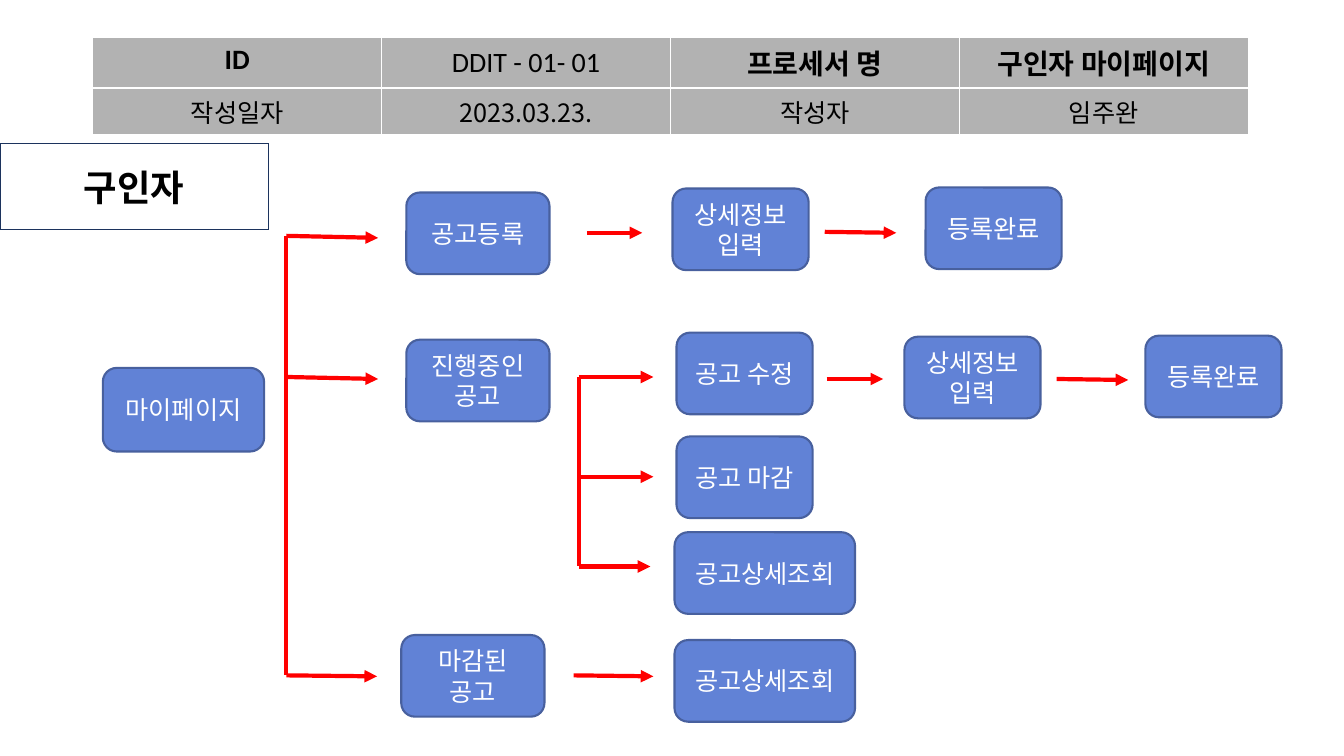
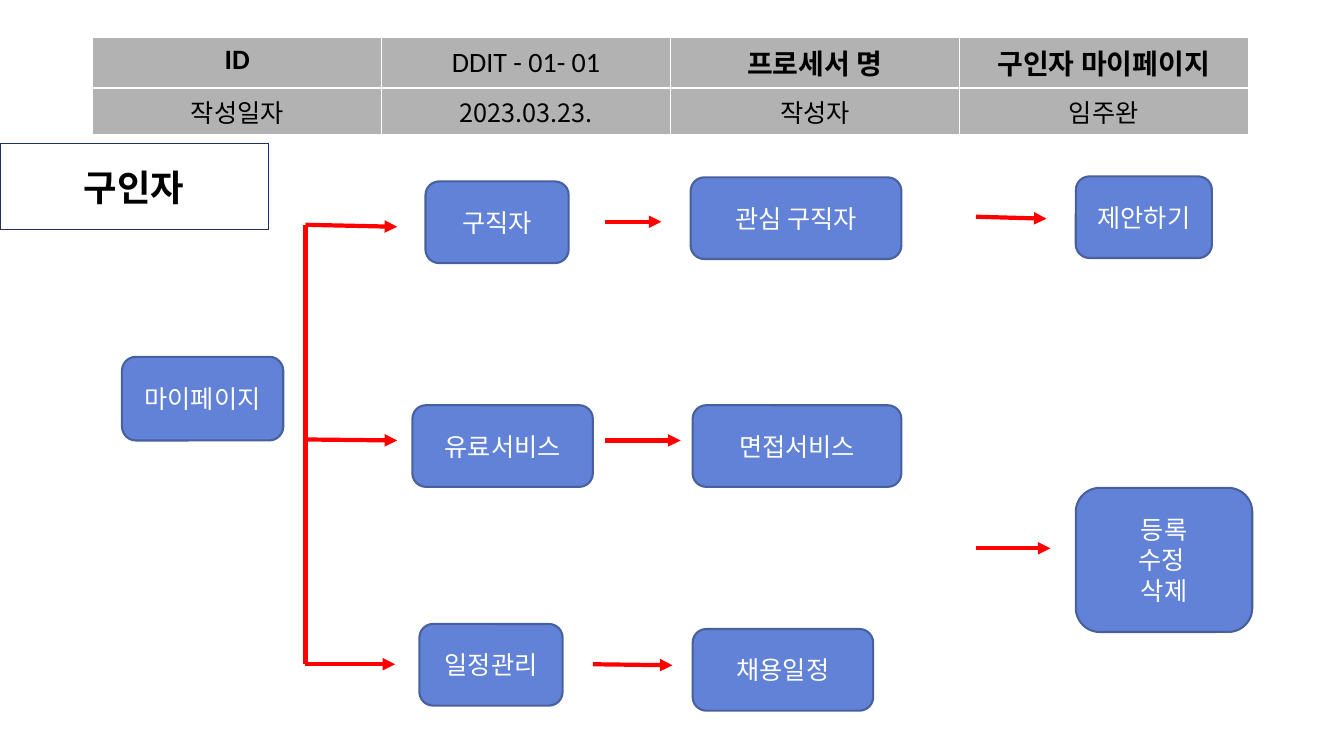
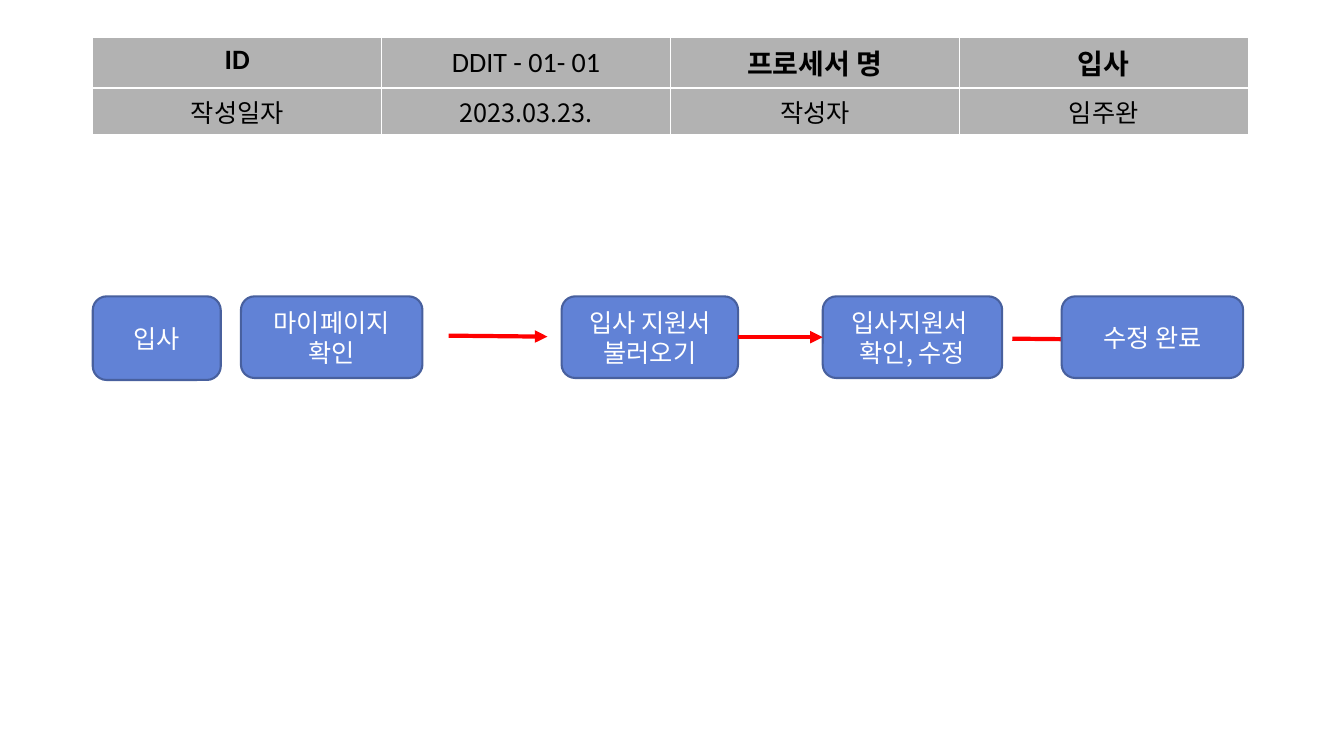
import pptx
import pptx.util
import pptx.dml.color
import pptx.enum.shapes
import pptx.enum.text
import pptx.oxml
import pptx.oxml.ns
from pptx.util import Inches

# Shared look
KOREAN, LATIN = "Noto Sans CJK KR", "Calibri"
WHITE, BLACK, RED = "FFFFFF", "000000", "FF0000"
GREY, BLUE, BLUE_EDGE, NAVY = "B2B2B2", "6182D6", "48609E", "1C335D"
STEP_TEXT = {"size": 18, "name": KOREAN, "bold": False, "color": WHITE}
LABEL_TEXT = {"size": 26, "name": KOREAN, "bold": True, "color": BLACK}
HEAD_TEXT = {"size": 20, "name": LATIN, "bold": True, "color": BLACK}
CODE_TEXT = {**HEAD_TEXT, "bold": False}
INFO_TEXT = {**STEP_TEXT, "color": BLACK}
MIDDLE = pptx.enum.text.MSO_ANCHOR.MIDDLE
STEP_HEIGHT = 0.81
TITLE_ONLY, BLANK = 5, 6


def rgb(value):
    return pptx.dml.color.RGBColor.from_string(value)


def inches(*values):
    return [Inches(value) for value in values]


def add_xml(parent, tag, **attributes):
    element = parent.makeelement(pptx.oxml.ns.qn(tag), attributes)
    parent.append(element)
    return element


# Text
def format_span(span, style):
    for key, value in style.items():
        if key == "color":
            span.font.color.rgb = rgb(value)
        else:
            setattr(span.font, key, pptx.util.Pt(value) if key == "size" else value)
    add_xml(span.font._element, "a:ea", typeface=KOREAN)


def write(frame, text, style):
    frame.word_wrap = True
    for number, line in enumerate(text.split("\n")):
        para = frame.add_paragraph() if number else frame.paragraphs[0]
        para.alignment = pptx.enum.text.PP_ALIGN.CENTER
        span = para.add_run()
        span.text = line
        format_span(span, style)


def paint(shape, fill, edge, width):
    shape.fill.solid()
    shape.fill.fore_color.rgb = rgb(fill)
    shape.line.color.rgb = rgb(edge)
    shape.line.width = pptx.util.Pt(width)


# Header table
def frame_cell(cell):
    properties = cell._tc.get_or_add_tcPr()
    for position, side in enumerate("LRTB"):
        border = pptx.oxml.parse_xml(
            f'<a:ln{side} {pptx.oxml.ns.nsdecls("a")} w="12700"><a:solidFill>'
            f'<a:srgbClr val="{WHITE}"/></a:solidFill></a:ln{side}>')
        properties.insert(position, border)


def add_header(page, process):
    rows = [["ID", "DDIT - 01- 01", "프로세서 명", process],
            ["작성일자", "2023.03.23.", "작성자", "임주완"]]
    table = page.shapes.add_table(2, 4, *inches(0.92, 0.37, 11.46, 0.84)).table
    table.first_row = table.horz_banding = False
    for row, height in zip(table.rows, (0.43, 0.41)):
        row.height = Inches(height)
    for row, texts in enumerate(rows):
        for column, text in enumerate(texts):
            cell = table.cell(row, column)
            cell.fill.solid()
            cell.fill.fore_color.rgb = rgb(GREY)
            frame_cell(cell)
            write(cell.text_frame, text, INFO_TEXT if row else HEAD_TEXT)
    code = table.cell(0, 1)
    code.vertical_anchor = MIDDLE
    for side in ("left", "top", "right", "bottom"):
        setattr(code, f"margin_{side}", 0)
    format_span(code.text_frame.paragraphs[0].runs[0], {"bold": CODE_TEXT["bold"]})


def add_page(deck, process, label=None):
    page = deck.slides.add_slide(deck.slide_layouts[TITLE_ONLY if label else BLANK])
    if label:
        title = page.shapes.title
        title.left, title.top, title.width, title.height = inches(0, 1.42, 2.66, 0.86)
        paint(title, WHITE, NAVY, 0)
        title.text_frame.vertical_anchor = MIDDLE
        write(title.text_frame, label, LABEL_TEXT)
    add_header(page, process)
    return page


# Flow elements
def add_step(page, text, left, top, width, height=STEP_HEIGHT):
    box = page.shapes.add_shape(pptx.enum.shapes.MSO_SHAPE.ROUNDED_RECTANGLE,
                                *inches(left, top, width, height))
    box.shadow.inherit = False
    paint(box, BLUE, BLUE_EDGE, 1.5)
    box.text_frame.vertical_anchor = MIDDLE
    write(box.text_frame, text, STEP_TEXT)
    return box


def add_line(page, left, top, right, bottom, arrow=True):
    line = page.shapes.add_connector(pptx.enum.shapes.MSO_CONNECTOR.STRAIGHT,
                                     *inches(left, top, right, bottom))
    line.line.color.rgb = rgb(RED)
    line.line.width = pptx.util.Pt(3)
    if arrow:
        add_xml(line.line._get_or_add_ln(), "a:tailEnd", type="triangle")
    add_xml(line._element.spPr, "a:effectLst")
    return line


def add_branches(page, trunk, tips):
    """Draw a vertical trunk and one arrow to the right per tip."""
    add_line(page, trunk, tips[0][0], trunk, tips[-1][0], arrow=False)
    for top, right, bottom in tips:
        add_line(page, trunk, top, right, bottom)


def add_flow(page, arrows, steps):
    for arrow in arrows:
        add_line(page, *arrow)
    return [add_step(page, *step) for step in steps]


# Slides
def add_postings(deck):
    page = add_page(deck, "구인자 마이페이지", "구인자")
    add_branches(page, 2.84, [(2.34, 3.75, 2.36), (3.74, 3.75, 3.76), (6.7, 3.74, 6.71)])
    add_branches(page, 5.74, [(3.74, 6.48, 3.74), (4.73, 6.48, 4.73), (5.62, 6.45, 5.62)])
    add_flow(page, [
        (5.82, 2.31, 6.37, 2.31),
        (8.18, 2.3, 8.89, 2.31),
        (8.2, 3.76, 8.76, 3.76),
        (10.48, 3.76, 11.19, 3.77),
        (5.69, 6.7, 6.48, 6.71),
    ], [
        ("마이페이지", 1.02, 3.65, 1.6, 0.83),
        ("공고등록", 4.03, 1.91, 1.42),
        ("상세정보 입력", 6.67, 1.87, 1.35),
        ("등록완료", 9.18, 1.86, 1.35),
        ("진행중인 공고", 4.03, 3.37, 1.42),
        ("공고 수정", 6.71, 3.3, 1.35),
        ("상세정보 입력", 8.97, 3.34, 1.35),
        ("등록완료", 11.36, 3.33, 1.35),
        ("공고 마감", 6.71, 4.33, 1.35),
        ("공고상세조회", 6.69, 5.28, 1.79),
        ("마감된 공고", 3.98, 6.3, 1.42),
        ("공고상세조회", 6.69, 6.35, 1.79),
    ])


def add_services(deck):
    page = add_page(deck, "구인자 마이페이지", "구인자")
    add_branches(page, 3.03, [(2.23, 3.94, 2.25), (4.36, 3.94, 4.37), (6.59, 3.92, 6.59)])
    add_flow(page, [
        (6, 2.2, 6.56, 2.2),
        (9.68, 2.15, 10.38, 2.17),
        (6, 4.37, 6.75, 4.37),
        (9.68, 5.44, 10.42, 5.44),
        (5.88, 6.59, 6.67, 6.6),
    ], [
        ("마이페이지", 1.21, 3.54, 1.6, 0.83),
        ("구직자", 4.22, 1.8, 1.42),
        ("관심 구직자", 6.85, 1.76, 2.09),
        ("제안하기", 10.67, 1.75, 1.35),
        ("유료서비스", 4.09, 4.02, 1.79),
        ("면접서비스", 6.87, 4.02, 2.07),
        ("등록\n수정 \n삭제", 10.67, 4.84, 1.75, 1.43),
        ("일정관리", 4.16, 6.19, 1.42),
        ("채용일정", 6.87, 6.24, 1.79),
    ])


def add_joining(deck):
    page = add_page(deck, "입사")
    top = 2.94
    _, _, load, check, _ = add_flow(page, [
        (4.45, 3.33, 5.43, 3.34),
        (10.04, 3.36, 11.02, 3.37),
    ], [
        ("입사", 0.92, top, 1.27, 0.83),
        ("마이페이지 확인", 2.39, top, 1.8),
        ("입사 지원서 불러오기", 5.57, top, 1.75),
        ("입사지원서 \n확인, 수정", 8.16, top, 1.78),
        ("수정 완료", 10.53, top, 1.8),
    ])
    link = add_line(page, 7.32, 3.35, 8.16, 3.35)
    link.begin_connect(load, 3)
    link.end_connect(check, 1)


def main():
    deck = pptx.Presentation()
    deck.slide_width, deck.slide_height = inches(13.33, 7.5)
    add_postings(deck)
    add_services(deck)
    add_joining(deck)
    deck.save("out.pptx")


if __name__ == "__main__":
    main()
